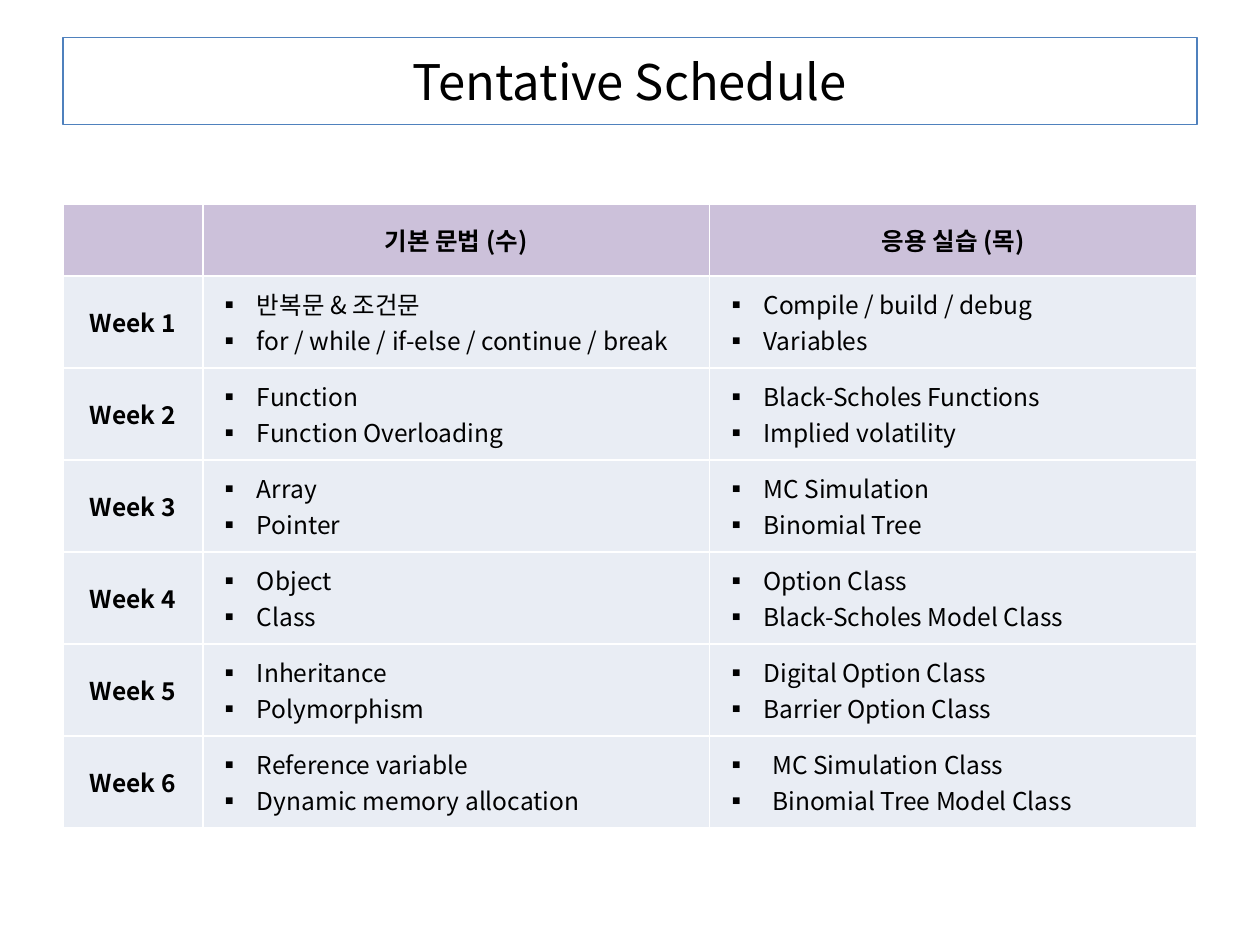
from dataclasses import dataclass

from lxml import etree
from pptx import Presentation
from pptx import util as u
from pptx.dml.color import RGBColor
from pptx.enum import shapes, text
from pptx.oxml import ns

FONT = "Noto Sans CJK KR"
COLORS = {
    "text": "000000",
    "title_line": "4F81BD",
    "header": "CCC1DA",
    "body": "E9EDF4",
    "border": "FFFFFF",
}
COLUMN_WIDTHS = (1.11, 4.02, 3.87)
HEADER_HEIGHT = 0.57
WEEK_HEIGHT = 0.73
HEADERS = ("", "기본 문법 (수)", "응용 실습 (목)")


@dataclass
class Week:
    grammar: tuple[str, ...]
    practice: tuple[str, ...]
    practice_indent: float = 0.31


WEEKS = (
    Week(("반복문 & 조건문", "for / while / if-else / continue / break"),
         ("Compile / build / debug", "Variables")),
    Week(("Function", "Function Overloading"),
         ("Black-Scholes Functions", "Implied volatility")),
    Week(("Array", "Pointer"), ("MC Simulation", "Binomial Tree")),
    Week(("Object", "Class"), ("Option Class", "Black-Scholes Model Class")),
    Week(("Inheritance", "Polymorphism"),
         ("Digital Option Class", "Barrier Option Class")),
    Week(("Reference variable", "Dynamic memory allocation"),
         ("MC Simulation Class", "Binomial Tree Model Class"), 0.38),
)


def color(name: str) -> RGBColor:
    return RGBColor.from_string(COLORS[name])


def add_run(paragraph, content: str, size: float, bold: bool = False) -> None:
    run = paragraph.add_run()
    run.text = content
    run.font.size = u.Pt(size)
    run.font.bold = bold
    run.font.name = FONT
    run.font.color.rgb = color("text")
    properties = run.font._element
    etree.SubElement(properties, ns.qn("a:ea"), typeface=FONT)


def add_bullet(paragraph, indent: float) -> None:
    properties = paragraph._p.get_or_add_pPr()
    properties.set("marL", str(u.Inches(indent)))
    properties.set("indent", str(-u.Inches(indent)))
    etree.SubElement(properties, ns.qn("a:buFont"), typeface=FONT)
    etree.SubElement(properties, ns.qn("a:buChar"), char="▪")


def style_cell(cell, fill: str) -> None:
    properties = cell._tc.get_or_add_tcPr()
    for side in ("lnL", "lnR", "lnT", "lnB"):
        line = etree.SubElement(properties, ns.qn(f"a:{side}"), w=str(u.Pt(1)))
        solid = etree.SubElement(line, ns.qn("a:solidFill"))
        etree.SubElement(solid, ns.qn("a:srgbClr"), val=COLORS["border"])
    cell.fill.solid()
    cell.fill.fore_color.rgb = color(fill)
    cell.vertical_anchor = text.MSO_ANCHOR.MIDDLE


def fill_label(cell, label: str, fill: str) -> None:
    style_cell(cell, fill)
    if label:
        paragraph = cell.text_frame.paragraphs[0]
        paragraph.alignment = text.PP_ALIGN.CENTER
        add_run(paragraph, label, 14, bold=True)


def fill_topics(cell, topics: tuple[str, ...], indent: float = 0.31) -> None:
    style_cell(cell, "body")
    cell.margin_left = u.Inches(0.12)
    frame = cell.text_frame
    for index, topic in enumerate(topics):
        paragraph = frame.add_paragraph() if index else frame.paragraphs[0]
        add_bullet(paragraph, indent)
        add_run(paragraph, topic, 14)


def add_title(slide, title: str) -> None:
    shape = slide.shapes.add_shape(
        shapes.MSO_SHAPE.RECTANGLE,
        u.Inches(0.5), u.Inches(0.3), u.Inches(9), u.Inches(0.69))
    shape.shadow.inherit = False
    shape.fill.background()
    shape.line.color.rgb = color("title_line")
    shape.line.width = u.Pt(0.75)
    frame = shape.text_frame
    frame.word_wrap = True
    frame.vertical_anchor = text.MSO_ANCHOR.MIDDLE
    paragraph = frame.paragraphs[0]
    paragraph.alignment = text.PP_ALIGN.CENTER
    add_run(paragraph, title, 28)


def add_schedule(slide) -> None:
    heights = [HEADER_HEIGHT] + [WEEK_HEIGHT] * len(WEEKS)
    table = slide.shapes.add_table(
        len(heights), len(COLUMN_WIDTHS), u.Inches(0.5), u.Inches(1.62),
        u.Inches(sum(COLUMN_WIDTHS)), u.Inches(sum(heights))).table
    table.horz_banding = False
    for column, width in zip(table.columns, COLUMN_WIDTHS):
        column.width = u.Inches(width)
    for row, height in zip(table.rows, heights):
        row.height = u.Inches(height)
    for index, header in enumerate(HEADERS):
        fill_label(table.cell(0, index), header, "header")
    for number, week in enumerate(WEEKS, start=1):
        fill_label(table.cell(number, 0), f"Week {number}", "body")
        fill_topics(table.cell(number, 1), week.grammar)
        fill_topics(table.cell(number, 2), week.practice, week.practice_indent)


def main() -> None:
    presentation = Presentation()
    presentation.slide_width = u.Inches(10)
    presentation.slide_height = u.Inches(7.5)
    slide = presentation.slides.add_slide(presentation.slide_layouts[6])
    add_title(slide, "Tentative Schedule")
    add_schedule(slide)
    presentation.save("out.pptx")


if __name__ == "__main__":
    main()
